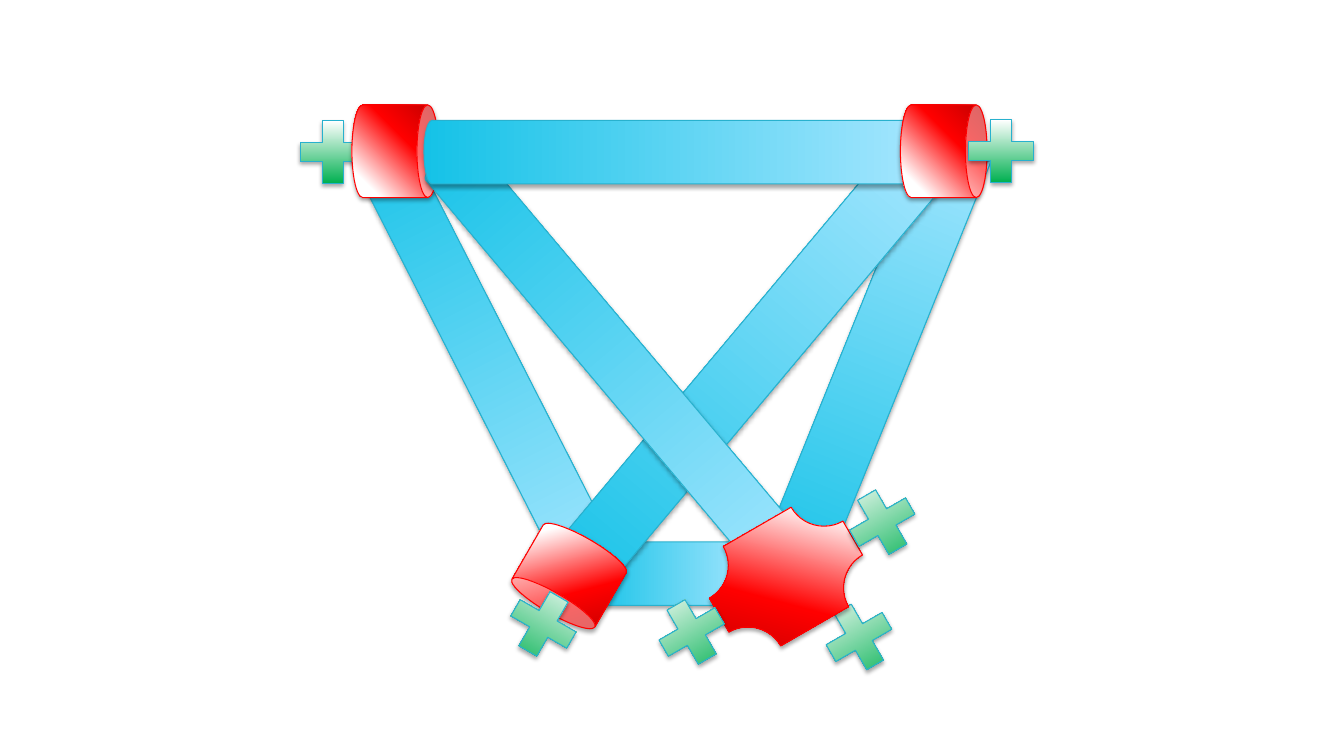
from lxml.etree import SubElement
from pptx import Presentation
from pptx.dml.color import RGBColor
from pptx.enum.shapes import MSO_SHAPE
from pptx.oxml.ns import qn
from pptx.util import Inches, Pt

BLUE = [(0, "15C2E7"), (100, "A8E7FF")]
GREEN = [(0, "00B050"), (100, "FFFFFF")]
RED = [(0, "C00000"), (38, "FF0000"), (84, "FFFFFF")]
TEAL_LINE, RED_LINE = "28B1CE", "FF0000"


def rgb(color):
    return RGBColor.from_string(color)


def set_gradient(sp, stops, angle):
    """Fill with (percent, colour) stops; angle runs clockwise."""
    sp.fill.gradient()
    sp.fill.gradient_angle = -angle % 360
    stop_list = sp._element.spPr.find(".//" + qn("a:gsLst"))
    for stop in list(stop_list):
        stop_list.remove(stop)
    for percent, color in stops:
        stop = SubElement(stop_list, qn("a:gs"), pos=str(percent * 1000))
        SubElement(stop, qn("a:srgbClr"), val=color)


def set_shadow(sp):
    sp.shadow.inherit = False
    effects = sp._element.spPr.find(qn("a:effectLst"))
    shadow = SubElement(effects, qn("a:outerShdw"), blurRad=str(Pt(3.1)),
                        dist=str(Pt(1.8)), dir="5400000", rotWithShape="0")
    color = SubElement(shadow, qn("a:srgbClr"), val="000000")
    SubElement(color, qn("a:alpha"), val="35000")


def add_part(slide, kind, box, rotation, flip, stops, angle, line):
    """Add one shape; flip is any of the letters h and v."""
    sp = slide.shapes.add_shape(kind, *(Inches(n) for n in box))
    sp.rotation = rotation
    xfrm = sp._element.spPr.find(qn("a:xfrm"))
    for axis in flip:
        xfrm.set("flip" + axis.upper(), "1")
    set_gradient(sp, stops, angle)
    sp.line.color.rgb = rgb(line)
    sp.line.width = Pt(0.75)
    set_shadow(sp)
    return sp


def add_beam(slide, box, rotation, flip=""):
    add_part(slide, MSO_SHAPE.CAN, box, rotation, flip, BLUE, 270, TEAL_LINE)


def add_hub(slide, box, rotation, flip=""):
    add_part(slide, MSO_SHAPE.CAN, box, rotation, flip, RED, 45, RED_LINE)


def add_plaque(slide, box, rotation):
    sp = add_part(slide, MSO_SHAPE.PLAQUE, box, rotation, "", RED, 315, RED_LINE)
    sp.adjustments[0] = 0.33


def add_cross(slide, left, top, rotation=0, flip="", height=0.62):
    sp = add_part(slide, MSO_SHAPE.CROSS, (left, top, 0.64, height),
                  rotation, flip, GREEN, 270, TEAL_LINE)
    sp.adjustments[0] = 0.35


def add_frame(slide):
    """Build the linked frame from back to front."""
    add_beam(slide, (6.35, 4.85, 0.63, 1.68), 90)
    add_beam(slide, (8.36, 1.21, 0.66, 4.66), 22)
    add_beam(slide, (4.54, 1.15, 0.59, 4.89), 333, "hv")
    add_beam(slide, (7.1, 0.94, 0.66, 5.38), 40)

    add_cross(slide, 2.98, 1.2)
    add_hub(slide, (3.46, 1.07, 0.92, 0.86), 90)
    add_beam(slide, (5.85, 0.9, 0.59, 5.42), 319.9, "hv")

    add_hub(slide, (5.17, 5.3, 0.95, 0.83), 30, "hv")
    add_cross(slide, 5.07, 5.88, 30)

    add_cross(slide, 8.2, 6, 330, "h", height=0.64)
    add_plaque(slide, (7.03, 5.15, 1.53, 1.14), 330)
    add_cross(slide, 8.43, 4.87, 330, "h")
    add_cross(slide, 6.54, 5.96, 330, "h")

    add_beam(slide, (6.43, -1.03, 0.63, 5.08), 90)
    add_hub(slide, (8.9, 1.07, 0.92, 0.86), 90)
    add_cross(slide, 9.61, 1.19)


def main():
    prs = Presentation()
    prs.slide_width, prs.slide_height = Inches(13.33), Inches(7.5)
    slide = prs.slides.add_slide(prs.slide_layouts[6])
    add_frame(slide)
    prs.save("out.pptx")


if __name__ == "__main__":
    main()
